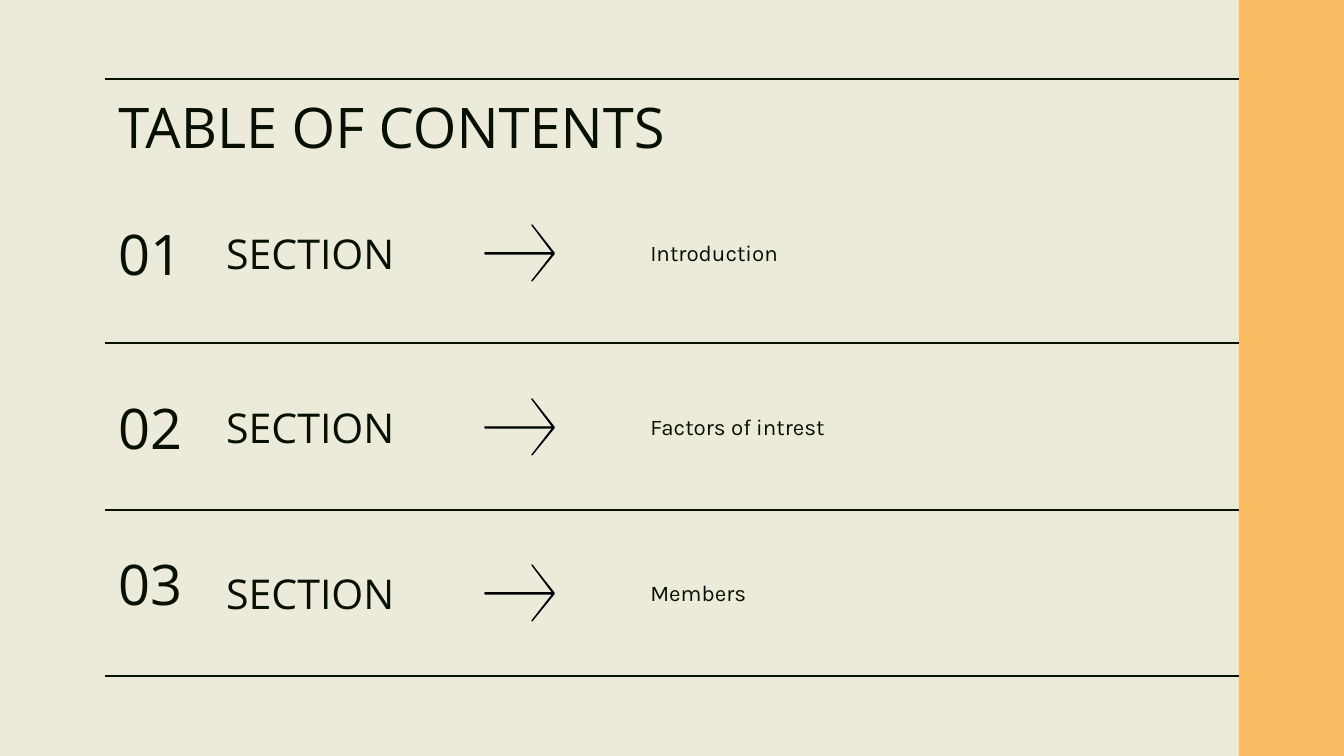
from typing import NamedTuple

from lxml.etree import SubElement
from pptx import Presentation
from pptx.dml.color import RGBColor
from pptx.enum.shapes import MSO_CONNECTOR as Connector, MSO_SHAPE as Preset
from pptx.enum.text import MSO_ANCHOR as Anchor, MSO_AUTO_SIZE as AutoSize, PP_ALIGN as Align
from pptx.oxml.ns import qn
from pptx.util import Inches, Pt

EMU_PER_PX = Inches(1) / 134.4
PAGE_WIDTH, PAGE_HEIGHT = 1344, 756
LEFT, RIGHT = 105, 1239
ROW_HEIGHT = 66
INSET = Inches(0.1)

CREAM = RGBColor(0xEC, 0xEB, 0xDA)
ORANGE = RGBColor(0xFA, 0xBD, 0x63)
INK = RGBColor(0x08, 0x10, 0x04)
BLACK = RGBColor(0x00, 0x00, 0x00)

HEADING_FONT = "Open Sans"
BODY_FONT = "Karla"


class Section(NamedTuple):
    number: str
    topic: str
    number_top: int
    top: int


SECTIONS = [
    Section("01", "Introduction", 220, 220),
    Section("02", "Factors of intrest", 394, 394),
    Section("03", "Members", 550, 560),
]
RULE_TOPS = [79, 343, 510, 676]

# Arrow outline, relative to its left end and its shaft
ARROW = [(47, -28), (68, 0), (0, 0), (0, 1), (68, 1),
         (47, 28), (69, 1), (69, 0)]


def px(length: int) -> int:
    return round(length * EMU_PER_PX)


def write(shape, text: str, size: int, font: str, anchor) -> None:
    frame = shape.text_frame
    frame.word_wrap = True
    frame.auto_size = AutoSize.NONE
    frame.vertical_anchor = anchor
    frame.margin_left = frame.margin_right = INSET
    frame.margin_top = frame.margin_bottom = INSET
    para = frame.paragraphs[0]
    para.alignment = Align.LEFT
    span = para.add_run()
    span.text = text
    span.font.size = Pt(size)
    span.font.name = font
    span.font.color.rgb = INK


def add_label(page, left: int, top: int, width: int,
              text: str, size: int, font: str) -> None:
    box = page.shapes.add_textbox(px(left), px(top), px(width), px(ROW_HEIGHT))
    write(box, text, size, font, Anchor.MIDDLE)


def add_rule(page, top: int) -> None:
    rule = page.shapes.add_connector(
        Connector.STRAIGHT, px(LEFT), px(top), px(RIGHT), px(top))
    rule.line.color.rgb = INK
    rule.line.width = Pt(0.75)
    SubElement(rule._element.spPr, qn("a:effectLst"))


def add_arrow(page, left: int, middle: int) -> None:
    points = [(left + x, middle + y) for x, y in ARROW]
    builder = page.shapes.build_freeform(*points[0], scale=EMU_PER_PX)
    builder.add_line_segments(points[1:], close=True)
    arrow = builder.convert_to_shape()
    arrow.shadow.inherit = False
    arrow.fill.solid()
    arrow.fill.fore_color.rgb = BLACK
    arrow.line.color.rgb = BLACK
    arrow.line.width = Pt(0.75)


def add_section(page, section: Section) -> None:
    add_label(page, LEFT, section.number_top, 108, section.number, 30, HEADING_FONT)
    add_label(page, 213, section.top, 250, "SECTION", 22, HEADING_FONT)
    add_arrow(page, 485, section.top + ROW_HEIGHT // 2)
    add_label(page, 637, section.top, 339, section.topic, 12, BODY_FONT)


def main() -> None:
    deck = Presentation()
    deck.slide_width, deck.slide_height = px(PAGE_WIDTH), px(PAGE_HEIGHT)
    page = deck.slides.add_slide(deck.slide_layouts[5])
    page.background.fill.solid()
    page.background.fill.fore_color.rgb = CREAM

    # Side band
    band = page.shapes.add_shape(
        Preset.RECTANGLE, px(RIGHT), 0, px(PAGE_WIDTH - RIGHT), px(PAGE_HEIGHT))
    band.shadow.inherit = False
    band.fill.solid()
    band.fill.fore_color.rgb = ORANGE
    band.line.fill.background()

    # Title
    title = page.shapes.title
    title.left, title.top = px(LEFT), px(79)
    title.width, title.height = px(RIGHT - LEFT), px(85)
    write(title, "TABLE OF CONTENTS", 30, HEADING_FONT, Anchor.TOP)

    # Contents
    for section in SECTIONS:
        add_section(page, section)
    for top in RULE_TOPS:
        add_rule(page, top)

    deck.save("out.pptx")


if __name__ == "__main__":
    main()
